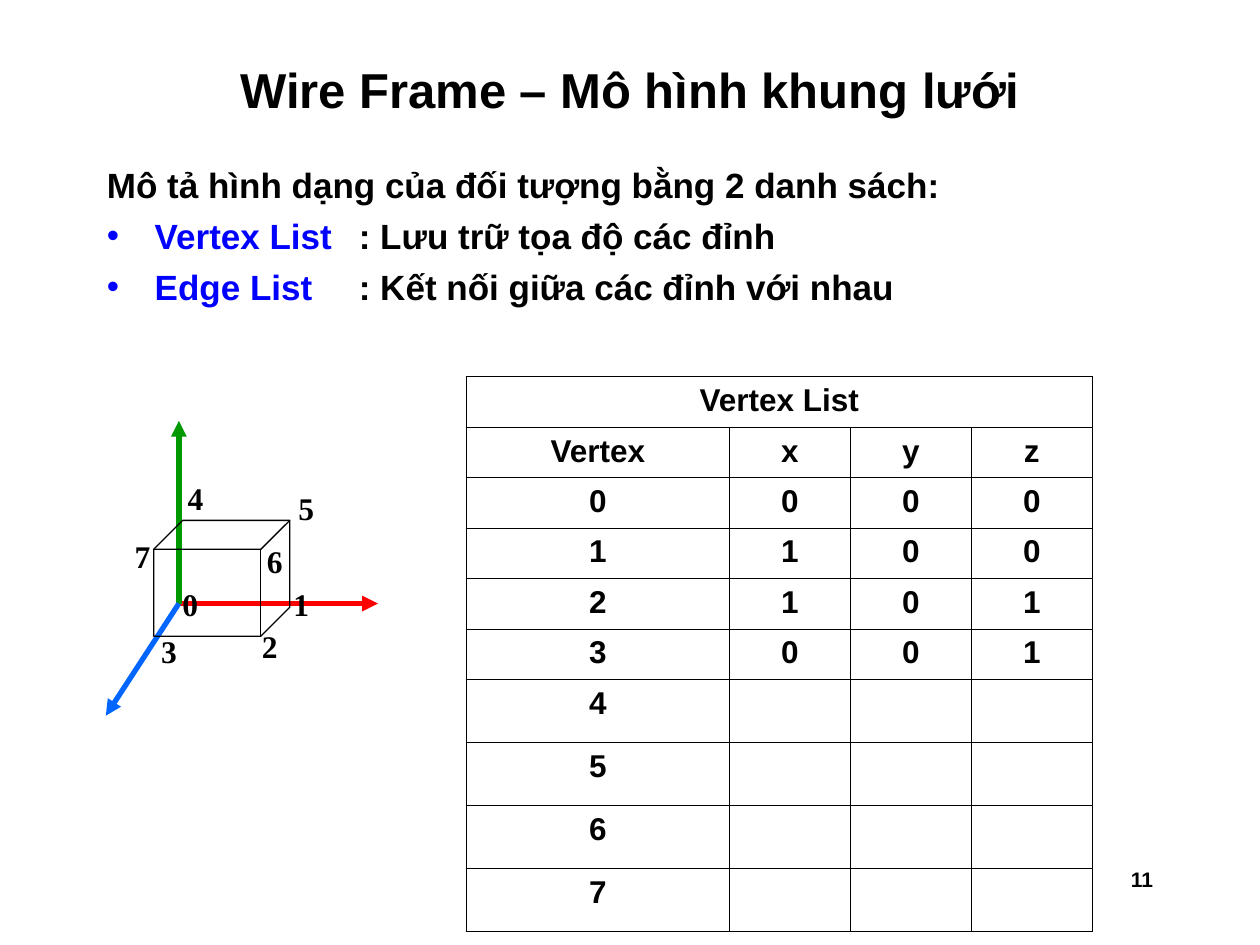
from dataclasses import dataclass
from typing import NamedTuple

from lxml import etree
from pptx import Presentation
from pptx.dml.color import RGBColor
from pptx.enum.shapes import MSO_CONNECTOR, MSO_SHAPE
from pptx.enum.text import MSO_ANCHOR, MSO_AUTO_SIZE, PP_ALIGN
from pptx.oxml.ns import qn
from pptx.util import Inches, Pt

STRAIGHT = MSO_CONNECTOR.STRAIGHT
CUBE = MSO_SHAPE.CUBE
MIDDLE = MSO_ANCHOR.MIDDLE
FIT_SHAPE = MSO_AUTO_SIZE.SHAPE_TO_FIT_TEXT
LEFT, CENTER, RIGHT = PP_ALIGN.LEFT, PP_ALIGN.CENTER, PP_ALIGN.RIGHT


@dataclass(frozen=True)
class Theme:
    """Colours, fonts and point sizes of the slide."""

    black: str = "000000"
    term: str = "0000FF"
    x_axis: str = "FF0000"
    y_axis: str = "009900"
    z_axis: str = "0066FF"
    font: str = "Arial"
    label_font: str = "Times New Roman"
    title_size: float = 28
    body_size: float = 20
    table_size: float = 18
    number_size: float = 12
    axis_width: float = 3
    cube_width: float = 0.75
    border_width: float = 0.45


class Axis(NamedTuple):
    """Tip and colour of one coordinate axis."""

    x: float
    y: float
    color: str


class VertexLabel(NamedTuple):
    """Number and box position of one cube vertex."""

    text: str
    left: float
    top: float


class Definition(NamedTuple):
    """A list name and its meaning."""

    term: str
    meaning: str


THEME = Theme()
ORIGIN = (1.42, 4.79)
AXES = [
    Axis(3, 4.79, THEME.x_axis),
    Axis(1.42, 3.34, THEME.y_axis),
    Axis(0.84, 5.68, THEME.z_axis),
]
LABELS = [
    VertexLabel("0", 1.35, 4.59),
    VertexLabel("1", 2.23, 4.59),
    VertexLabel("2", 1.98, 4.93),
    VertexLabel("3", 1.18, 4.97),
    VertexLabel("4", 1.39, 3.75),
    VertexLabel("5", 2.27, 3.83),
    VertexLabel("7", 0.97, 4.21),
    VertexLabel("6", 2.02, 4.25),
]
DEFINITIONS = [
    Definition("Vertex List \t", ": Lưu trữ tọa độ các đỉnh"),
    Definition("Edge List\t", ": Kết nối giữa các đỉnh với nhau"),
]
COLUMN_WIDTHS = [2.09, 0.96, 0.96, 0.96]
HEADER = ["Vertex", "x", "y", "z"]
COORDINATES = ["000", "100", "101", "001", "", "", "", ""]


def add_run(paragraph, text: str, size: float, color: str = THEME.black, font: str = THEME.font) -> None:
    """Add one bold run."""
    run = paragraph.add_run()
    run.text = text
    run.font.name = font
    run.font.size = Pt(size)
    run.font.bold = True
    run.font.color.rgb = RGBColor.from_string(color)


def add_text_box(slide, left: float, top: float, width: float, height: float):
    """Add a wrapping text box and return its text frame."""
    box = slide.shapes.add_textbox(Inches(left), Inches(top), Inches(width), Inches(height))
    box.text_frame.word_wrap = True
    return box.text_frame


def add_title(slide, text: str) -> None:
    """Place and fill the title placeholder."""
    title = slide.shapes.title
    title.left, title.top = Inches(0.75), Inches(0.33)
    title.width, title.height = Inches(8.5), Inches(0.75)
    title.text_frame.vertical_anchor = MIDDLE
    paragraph = title.text_frame.paragraphs[0]
    paragraph.alignment = CENTER
    add_run(paragraph, text, THEME.title_size)


def set_hanging(paragraph, bulleted: bool) -> None:
    """Give a paragraph a hanging indent, with bullet and tabs if asked."""
    properties = paragraph._p.get_or_add_pPr()
    properties.set("marL", str(Inches(0.38)))
    properties.set("indent", str(Inches(-0.38)))
    if bulleted:
        color = etree.SubElement(properties, qn("a:buClr"))
        etree.SubElement(color, qn("a:srgbClr"), val=THEME.term)
        etree.SubElement(properties, qn("a:buFont"), typeface=THEME.font)
        etree.SubElement(properties, qn("a:buChar"), char="•")
        tabs = etree.SubElement(properties, qn("a:tabLst"))
        for position in range(1, 9):
            etree.SubElement(tabs, qn("a:tab"), pos=str(Inches(position)), algn="l")
        paragraph.space_before = Pt(5)


def add_body(slide) -> None:
    """Add the introduction and the two list definitions."""
    frame = add_text_box(slide, 0.75, 1.25, 8.53, 4.35)
    introduction = frame.paragraphs[0]
    set_hanging(introduction, False)
    add_run(introduction, "Mô tả hình dạng của đối tượng bằng 2 danh sách:", THEME.body_size)
    for definition in DEFINITIONS:
        paragraph = frame.add_paragraph()
        set_hanging(paragraph, True)
        add_run(paragraph, definition.term, THEME.body_size, THEME.term)
        add_run(paragraph, definition.meaning, THEME.body_size)


def add_axis(group, axis: Axis) -> None:
    """Draw an arrow from the origin to the tip of an axis."""
    start_x, start_y = map(Inches, ORIGIN)
    arrow = group.shapes.add_connector(STRAIGHT, start_x, start_y, Inches(axis.x), Inches(axis.y))
    arrow.line.color.rgb = RGBColor.from_string(axis.color)
    arrow.line.width = Pt(THEME.axis_width)
    etree.SubElement(arrow.line._get_or_add_ln(), qn("a:tailEnd"), type="triangle")
    etree.SubElement(arrow._element.spPr, qn("a:effectLst"))


def add_cube(slide) -> None:
    """Draw the outlined cube."""
    cube = slide.shapes.add_shape(CUBE, Inches(1.22), Inches(4.13), Inches(1.08), Inches(0.92))
    cube.adjustments[0] = 0.25
    cube.shadow.inherit = False
    cube.fill.background()
    cube.line.color.rgb = RGBColor.from_string(THEME.black)
    cube.line.width = Pt(THEME.cube_width)


def add_label(slide, label: VertexLabel) -> None:
    """Write one vertex number."""
    frame = add_text_box(slide, label.left, label.top, 0.34, 0.4)
    frame.auto_size = FIT_SHAPE
    paragraph = frame.paragraphs[0]
    paragraph.alignment = LEFT
    add_run(paragraph, label.text, THEME.table_size, font=THEME.label_font)


def format_cell(cell) -> None:
    """Give a cell thin borders on all sides and no fill."""
    properties = cell._tc.get_or_add_tcPr()
    for side in ("a:lnL", "a:lnR", "a:lnT", "a:lnB"):
        border = etree.SubElement(properties, qn(side), w=str(Pt(THEME.border_width)))
        fill = etree.SubElement(border, qn("a:solidFill"))
        etree.SubElement(fill, qn("a:srgbClr"), val=THEME.black)
    cell.fill.background()


def add_vertex_table(slide) -> None:
    """Add the table of vertex coordinates."""
    rows = [["Vertex List"], HEADER]
    rows += [[str(vertex), *values] for vertex, values in enumerate(COORDINATES)]
    heights = [0.4 if len(row) > 1 or row == rows[0] else 0.5 for row in rows]
    frame = slide.shapes.add_table(
        len(rows), len(HEADER), Inches(3.7), Inches(2.99), Inches(sum(COLUMN_WIDTHS)), Inches(sum(heights))
    )
    table = frame.table
    table.first_row = table.horz_banding = False
    for column, width in zip(table.columns, COLUMN_WIDTHS):
        column.width = Inches(width)
    for row, height in zip(table.rows, heights):
        row.height = Inches(height)
    for cell in table.iter_cells():
        format_cell(cell)
    table.cell(0, 0).merge(table.cell(0, len(HEADER) - 1))
    for row_index, values in enumerate(rows):
        for column_index, value in enumerate(values):
            paragraph = table.cell(row_index, column_index).text_frame.paragraphs[0]
            paragraph.alignment = CENTER
            add_run(paragraph, value, THEME.table_size)


def main() -> None:
    """Build and save the slide."""
    presentation = Presentation()
    presentation.slide_width, presentation.slide_height = Inches(10), Inches(7.5)
    slide = presentation.slides.add_slide(presentation.slide_layouts.get_by_name("Title Only"))
    add_title(slide, "Wire Frame – Mô hình khung lưới")
    add_body(slide)
    axes = slide.shapes.add_group_shape()
    for axis in AXES:
        add_axis(axes, axis)
    add_cube(slide)
    for label in LABELS:
        add_label(slide, label)
    add_vertex_table(slide)
    number = add_text_box(slide, 7.17, 6.83, 2.08, 0.5).paragraphs[0]
    number.alignment = RIGHT
    add_run(number, "11", THEME.number_size)
    presentation.save("out.pptx")


if __name__ == "__main__":
    main()
